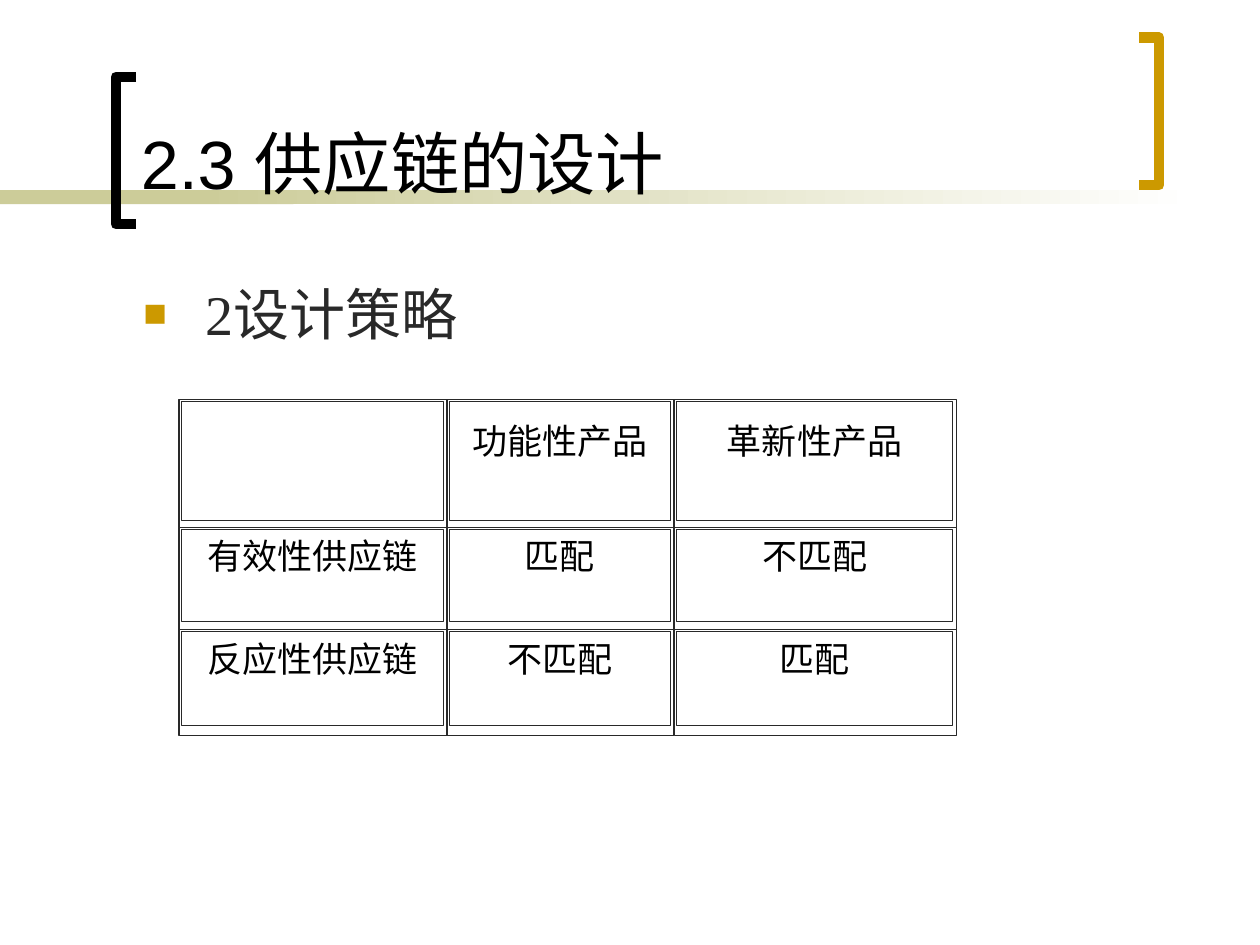
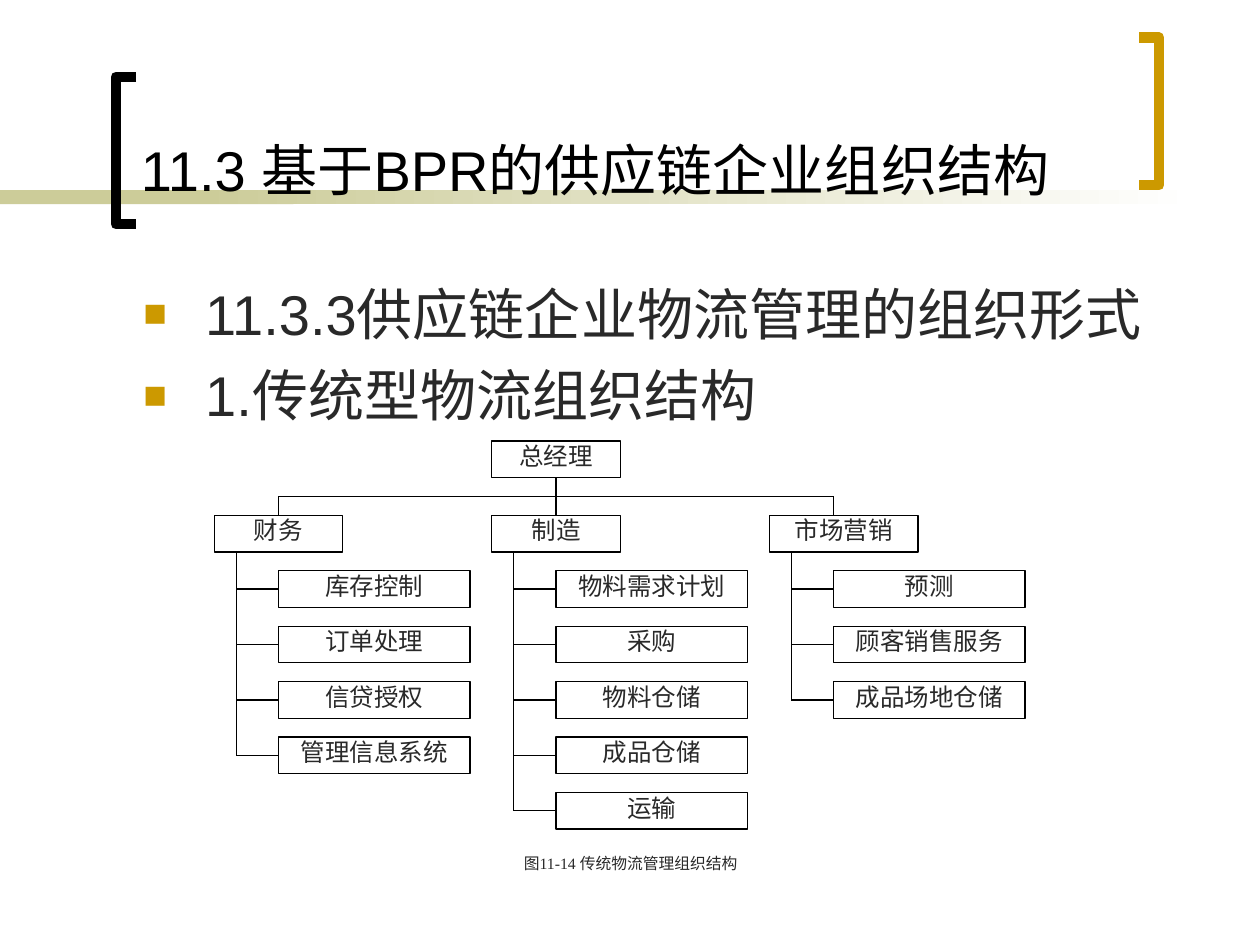
from itertools import accumulate

from lxml.etree import SubElement
from pptx import Presentation
from pptx.dml.color import RGBColor
from pptx.enum.shapes import MSO_CONNECTOR, MSO_SHAPE
from pptx.enum.text import MSO_ANCHOR, PP_ALIGN
from pptx.oxml.ns import qn
from pptx.util import Inches, Pt

COLORS = {"black": "000000", "ink": "292929", "white": "FFFFFF",
          "olive": "CCCC99", "gold": "CC9900"}
ARIAL, TIMES, CJK = "Arial", "Times New Roman", "Noto Sans CJK SC"

prs = Presentation()
prs.slide_width, prs.slide_height = Inches(10), Inches(7.5)

# Slide grid: every box is (left, top, width, height) in columns and rows
COLS, ROWS = 100, 75
TITLE = (10.2, 1.1, 78.3, 15.5)
BODY = (10.4, 21.7, 83.8, 45)


def col(n):
    return round(prs.slide_width * n / COLS)


def row(n):
    return round(prs.slide_height * n / ROWS)


def place(box):
    x, y, w, h = box
    return col(x), row(y), col(w), row(h)


def rgb(name):
    return RGBColor.from_string(COLORS[name])


# Text helpers
def style_run(r, size, color, font):
    r.font.size, r.font.name = Pt(size), font
    r.font.color.rgb = rgb(color)
    SubElement(r._r.get_or_add_rPr(), qn("a:ea"), typeface=CJK)


def set_frame(tf, anchor, insets=(1, 0.5, 1, 0.5)):
    tf.word_wrap, tf.vertical_anchor = True, anchor
    left, top, right, bottom = insets
    tf.margin_left, tf.margin_right = col(left), col(right)
    tf.margin_top, tf.margin_bottom = row(top), row(bottom)


def add_runs(p, parts, size, color):
    for text, font in parts:
        r = p.add_run()
        r.text = text
        style_run(r, size, color, font)


# Shape helpers
def add_rect(s, box, fill="white", line=None):
    sp = s.shapes.add_shape(MSO_SHAPE.RECTANGLE, *place(box))
    sp.shadow.inherit = False
    sp.fill.solid()
    sp.fill.fore_color.rgb = rgb(fill)
    if line:
        sp.line.color.rgb, sp.line.width = rgb(line), Pt(0.75)
    else:
        sp.line.fill.background()
    return sp


def add_label(sp, text, size, color, anchor=MSO_ANCHOR.TOP, insets=(0, 0, 0, 0)):
    set_frame(sp.text_frame, anchor, insets)
    p = sp.text_frame.paragraphs[0]
    p.text, p.alignment = text, PP_ALIGN.CENTER
    style_run(p.runs[0], size, color, TIMES)


def add_line(s, x1, y1, x2, y2):
    ln = s.shapes.add_connector(MSO_CONNECTOR.STRAIGHT, col(x1), row(y1), col(x2), row(y2))
    ln.line.color.rgb, ln.line.width = rgb("black"), Pt(0.75)
    SubElement(ln._element.spPr, qn("a:effectLst"))


def add_bracket(s, box, color, opens_right):
    x, y, w, h = box
    tip, spine = (x + w, x) if opens_right else (x, x + w)
    fb = s.shapes.build_freeform(col(tip), row(y), scale=1.0)
    fb.add_line_segments([(col(spine), row(y)), (col(spine), row(y + h)),
                          (col(tip), row(y + h))], close=False)
    sp = fb.convert_to_shape()
    sp.shadow.inherit = False
    sp.fill.background()
    sp.line.color.rgb, sp.line.width = rgb(color), Pt(6)


# Shared parts: band, brackets, title, bullets
def add_backdrop(s):
    add_rect(s, (0, 15.1, 23.3, 1.1), "olive")
    fade = add_rect(s, (15.8, 15.1, 79.2, 1.1))
    fade.fill.gradient()
    fade.fill.gradient_angle = 180
    for stop, color in zip(fade.fill.gradient_stops, ("white", "olive")):
        stop.color.rgb = rgb(color)
    add_bracket(s, (9.2, 6.1, 1.6, 11.7), "black", True)
    add_bracket(s, (90.4, 3, 1.6, 11.7), "gold", False)


def add_title(s, box, parts, size):
    tf = s.shapes.add_textbox(*place(box)).text_frame
    set_frame(tf, MSO_ANCHOR.BOTTOM)
    add_runs(tf.paragraphs[0], parts, size, "black")


def add_bullets(s, box, items):
    tf = s.shapes.add_textbox(*place(box)).text_frame
    set_frame(tf, MSO_ANCHOR.TOP)
    for i, parts in enumerate(items):
        p = tf.add_paragraph() if i else tf.paragraphs[0]
        p.space_before = Pt(8)
        add_runs(p, parts, 32, "ink")
        pPr = p._p.get_or_add_pPr()
        pPr.set("marL", str(col(4.9)))
        pPr.set("indent", str(-col(4.9)))
        SubElement(SubElement(pPr, qn("a:buClr")), qn("a:srgbClr"), val=COLORS["gold"])
        SubElement(pPr, qn("a:buSzPct"), val="70000")
        SubElement(pPr, qn("a:buFont"), typeface=ARIAL)
        SubElement(pPr, qn("a:buChar"), char="■")


def new_slide(title, title_size, bullets):
    s = prs.slides.add_slide(prs.slide_layouts[6])
    add_backdrop(s)
    add_title(s, TITLE, title, title_size)
    add_bullets(s, BODY, bullets)
    return s


# Strategy matrix: each cell is a frame within a frame
def add_matrix(s, box, rows):
    x, y, w, h = box
    widths = [w * share for share in (0.345, 0.292, 0.363)]
    lefts = accumulate(widths[:-1], initial=x)
    columns = list(zip(lefts, widths))
    bands = [(y, h * 0.39), (y + h * 0.38, h * 0.31), (y + h * 0.685, h * 0.315)]
    for (top, height), texts in zip(bands, rows):
        for (left, width), text in zip(columns, texts):
            add_rect(s, (left, top, width, height), line="ink")
            inner = add_rect(s, (left + 0.2, top + 0.15, width - 0.5, height - 0.95),
                             line="ink")
            if text:
                add_label(inner, text, 20, "black", MSO_ANCHOR.MIDDLE, (1, 0, 1, 3.2))


# Organisation chart: manager, departments, and their tasks on a stem
def add_org_chart(s, box, manager, departments, caption):
    x, y, w, h = box
    pitch, node_w, node_h = 22.03, 10.2, 2.9
    task_dx, stem_dx, task_w, task_pitch = 5.1, 1.75, 15.2, 4.4
    dept_y, bus_y = y + 5.9, y + 4.4
    task_y = dept_y + task_pitch

    def add_node(left, top, width, text):
        add_label(add_rect(s, (left, top, width, node_h), line="black"), text, 14, "ink")

    add_node(x + pitch, y, node_w, manager)
    add_line(s, x + pitch + task_dx, y + node_h, x + pitch + task_dx, dept_y)
    add_line(s, x + task_dx, bus_y, x + 2 * pitch + task_dx, bus_y)
    for i, (name, width, tasks) in enumerate(departments):
        left = x + i * pitch
        stem, task_x = left + stem_dx, left + task_dx
        add_node(left, dept_y, width, name)
        if i != 1:
            add_line(s, task_x, bus_y, task_x, dept_y)
        for j, task in enumerate(tasks):
            top = task_y + j * task_pitch
            mid = top + node_h / 2
            add_node(task_x, top, task_w, task)
            add_line(s, stem, mid, task_x, mid)
        add_line(s, stem, dept_y + node_h, stem, mid)

    note = add_rect(s, (x + 10.2, y + h - 4.4, 45.7, 4.4))
    add_label(note, caption, 9, "ink", insets=(1, 0.5, 1, 0.5))


def strategy_slide():
    s = new_slide([("2.3 ", ARIAL), ("供应链的设计", CJK)], 39,
                  [[("2", TIMES), ("设计策略", CJK)]])
    add_matrix(s, (14.2, 31.7, 61.7, 26.7), [
        ("", "功能性产品", "革新性产品"),
        ("有效性供应链", "匹配", "不匹配"),
        ("反应性供应链", "不匹配", "匹配"),
    ])


def organisation_slide():
    s = new_slide([("11.3 基于BPR的供应链企业组织结构", ARIAL)], 32,
                  [[("11.3.3供应链企业物流管理的组织形式", ARIAL)],
                   [("1.传统型物流组织结构", ARIAL)]])
    add_org_chart(s, (17, 35, 64.3, 36.7), "总经理", [
        ("财务", 10.2, ["库存控制", "订单处理", "信贷授权", "管理信息系统"]),
        ("制造", 10.2, ["物料需求计划", "采购", "物料仓储", "成品仓储", "运输"]),
        ("市场营销", 11.8, ["预测", "顾客销售服务", "成品场地仓储"]),
    ], "图11-14 传统物流管理组织结构")


if __name__ == "__main__":
    strategy_slide()
    organisation_slide()
    prs.save("out.pptx")
